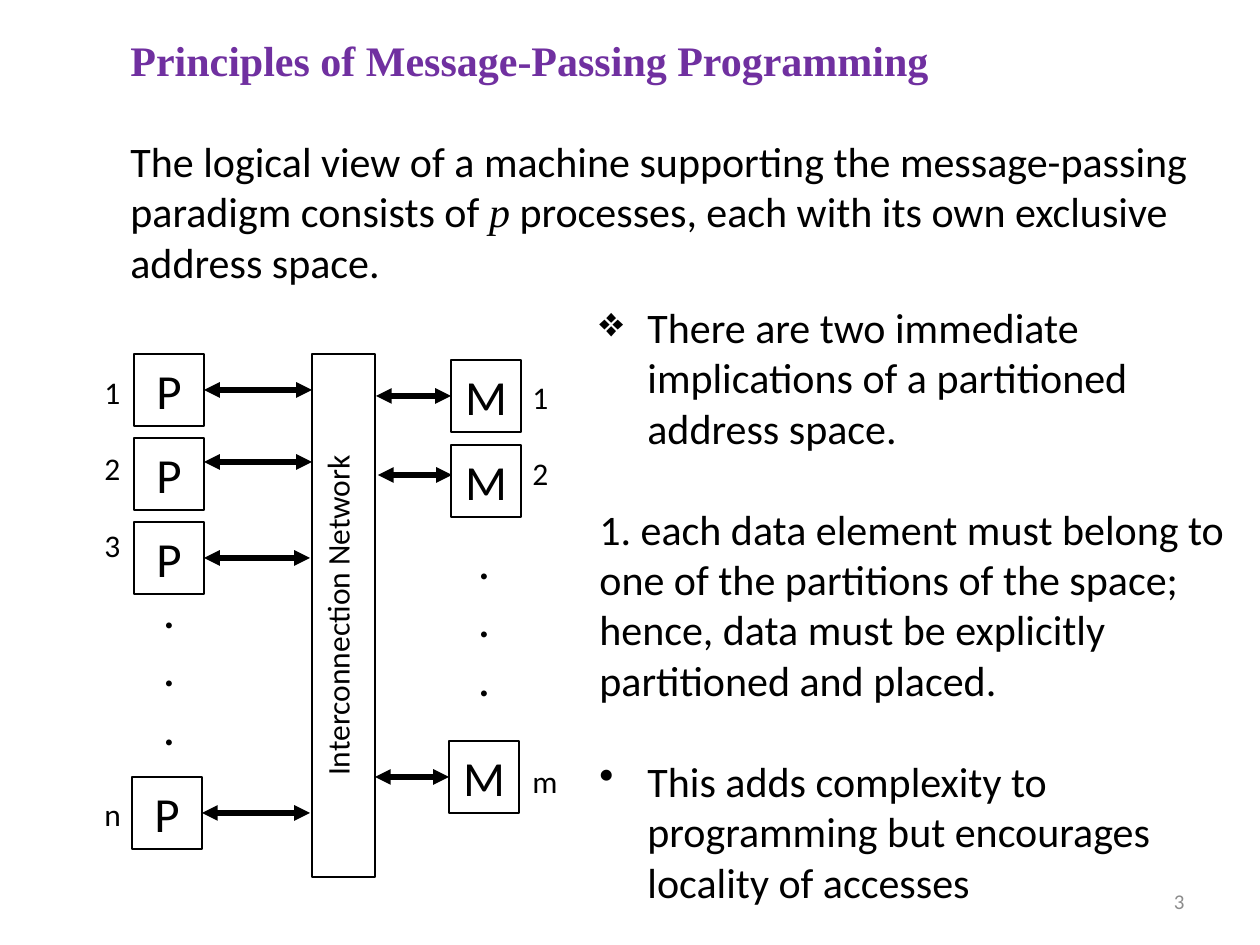
from dataclasses import dataclass

from lxml import etree
from pptx import Presentation
from pptx import util as u
from pptx.dml.color import RGBColor
from pptx.enum import shapes, text
from pptx.oxml.ns import qn


@dataclass(frozen=True)
class Theme:
    ink: str = "000000"
    title: str = "7030A0"
    muted: str = "8C8C8C"
    sans: str = "Calibri"
    serif: str = "Times New Roman"
    body: int = 24
    node: int = 28
    label: int = 18
    number: int = 12
    outline: float = 0.75
    arrow: float = 3
    body_gap: int = 29
    label_gap: int = 22


THEME = Theme()
PX = u.Inches(1) // 126
SLIDE = (1260, 945)
NODE_W, NODE_H = 70, 72
INDENT = 48
LEFT, CENTER, RIGHT = text.PP_ALIGN.LEFT, text.PP_ALIGN.CENTER, text.PP_ALIGN.RIGHT

INTRO_AREA = (118, 28, 1106, 267)
INTRO = [
    {"runs": [("Principles of Message-Passing Programming",
               {"font": THEME.serif, "color": THEME.title, "bold": True})]},
    {"gap": THEME.body_gap, "runs": [
        ("The logical view of a machine supporting the message-passing "
         "paradigm consists of ", {}),
        ("p", {"font": THEME.serif, "italic": True}),
        (" processes, each with its own exclusive address space.", {})]},
]
IMPLICATIONS_AREA = (587, 295, 673, 624)
IMPLICATIONS = [
    {"bullet": "❖", "runs": [
        ("There are two immediate implications of a partitioned address space.", {})]},
    {"gap": THEME.body_gap, "runs": [("1. each data element must belong to", {})]},
    {"runs": [("one of the partitions of the space; hence, data must be "
               "explicitly partitioned and placed.", {})]},
    {"gap": THEME.body_gap, "bullet": "•", "level": 1, "runs": [
        ("This adds complexity to programming but encourages locality of accesses", {})]},
]
NETWORK = ("Interconnection Network", (312, 354, 63, 523))
PAGE_NUMBER = ("3", (903, 876, 294, 50))

# (node left, node top, arrow start, arrow end, arrow y)
BANKS = [
    {"letter": "P", "node_end": "begin", "side": 3,
     "rows": [(134, 354, 204, 312, 390), (134, 438, 204, 312, 462),
              (134, 522, 201, 310, 558), (132, 777, 201, 310, 813)],
     "dots": (134, 573, NODE_W, 190),
     "labels": (92, 367, 73, 471),
     "indices": [("1", 0), ("2", 1), ("3", 1), ("n", 6)]},
    {"letter": "M", "node_end": "end", "side": 1,
     "rows": [(451, 360, 376, 451, 396), (451, 445, 378, 452, 475),
              (449, 741, 375, 449, 777)],
     "dots": (449, 524, NODE_W, 190),
     "labels": (520, 372, 73, 432),
     "indices": [("1", 0), ("2", 1), ("m", 7)]},
]


def emu(*lengths):
    return [length * PX for length in lengths]


def rgb(color):
    return RGBColor.from_string(color)


def add_bullet(paragraph, mark):
    props = paragraph._p.get_or_add_pPr()
    props.set("marL", str(INDENT * PX))
    props.set("indent", str(-INDENT * PX))
    etree.SubElement(props, qn("a:buChar")).set("char", mark)


def write(shape, paragraphs, size, align=LEFT, color=THEME.ink):
    frame = shape.text_frame
    frame.word_wrap = True
    frame.vertical_anchor = text.MSO_ANCHOR.TOP
    for i, content in enumerate(paragraphs):
        paragraph = frame.add_paragraph() if i else frame.paragraphs[0]
        paragraph.alignment = align
        paragraph.level = content.get("level", 0)
        if content.get("gap"):
            paragraph.space_before = u.Pt(content["gap"])
        if "bullet" in content:
            add_bullet(paragraph, content["bullet"])
        for words, style in content["runs"]:
            run = paragraph.add_run()
            run.text = words
            run.font.size = u.Pt(size)
            run.font.name = style.get("font", THEME.sans)
            run.font.bold = style.get("bold", False)
            run.font.italic = style.get("italic", False)
            run.font.color.rgb = rgb(style.get("color", color))
    return frame


def plain(words, gap=0):
    return {"gap": gap, "runs": [(words, {})]}


def add_text(slide, area, paragraphs, size, align=LEFT, color=THEME.ink):
    return write(slide.shapes.add_textbox(*emu(*area)), paragraphs, size, align, color)


def add_box(slide, area, words, size):
    box = slide.shapes.add_shape(shapes.MSO_SHAPE.RECTANGLE, *emu(*area))
    box.shadow.inherit = False
    box.fill.background()
    box.line.color.rgb = rgb(THEME.ink)
    box.line.width = u.Pt(THEME.outline)
    write(box, [plain(words)], size, CENTER)
    return box


def add_arrow(slide, start, end, y):
    arrow = slide.shapes.add_connector(
        shapes.MSO_CONNECTOR.STRAIGHT, *emu(start, y, end, y))
    arrow.line.color.rgb = rgb(THEME.ink)
    arrow.line.width = u.Pt(THEME.arrow)
    line = arrow.line._get_or_add_ln()
    for tip in ("a:headEnd", "a:tailEnd"):
        etree.SubElement(line, qn(tip)).set("type", "triangle")
    etree.SubElement(arrow._element.spPr, qn("a:effectLst"))
    return arrow


def add_bank(slide, bank):
    for left, top, start, end, y in bank["rows"]:
        node = add_box(slide, (left, top, NODE_W, NODE_H), bank["letter"], THEME.node)
        arrow = add_arrow(slide, start, end, y)
        if y == top + NODE_H // 2:
            join = arrow.begin_connect if bank["node_end"] == "begin" else arrow.end_connect
            join(node, bank["side"])
    add_text(slide, bank["dots"], [plain(".")] * 3, THEME.node, CENTER)
    indices = [plain(name, skipped * THEME.label_gap) for name, skipped in bank["indices"]]
    add_text(slide, bank["labels"], indices, THEME.label)


def main():
    deck = Presentation()
    deck.slide_width, deck.slide_height = emu(*SLIDE)
    slide = deck.slides.add_slide(deck.slide_layouts[6])

    number, number_area = PAGE_NUMBER
    number_frame = add_text(slide, number_area, [plain(number)], THEME.number,
                            RIGHT, THEME.muted)
    number_frame.vertical_anchor = text.MSO_ANCHOR.MIDDLE

    add_text(slide, INTRO_AREA, INTRO, THEME.body)
    network_name, network_area = NETWORK
    network = add_box(slide, network_area, network_name, THEME.label)
    network.text_frame._txBody.bodyPr.set("vert", "vert270")
    for bank in BANKS:
        add_bank(slide, bank)
    add_text(slide, IMPLICATIONS_AREA, IMPLICATIONS, THEME.body)

    deck.save("out.pptx")


if __name__ == "__main__":
    main()
